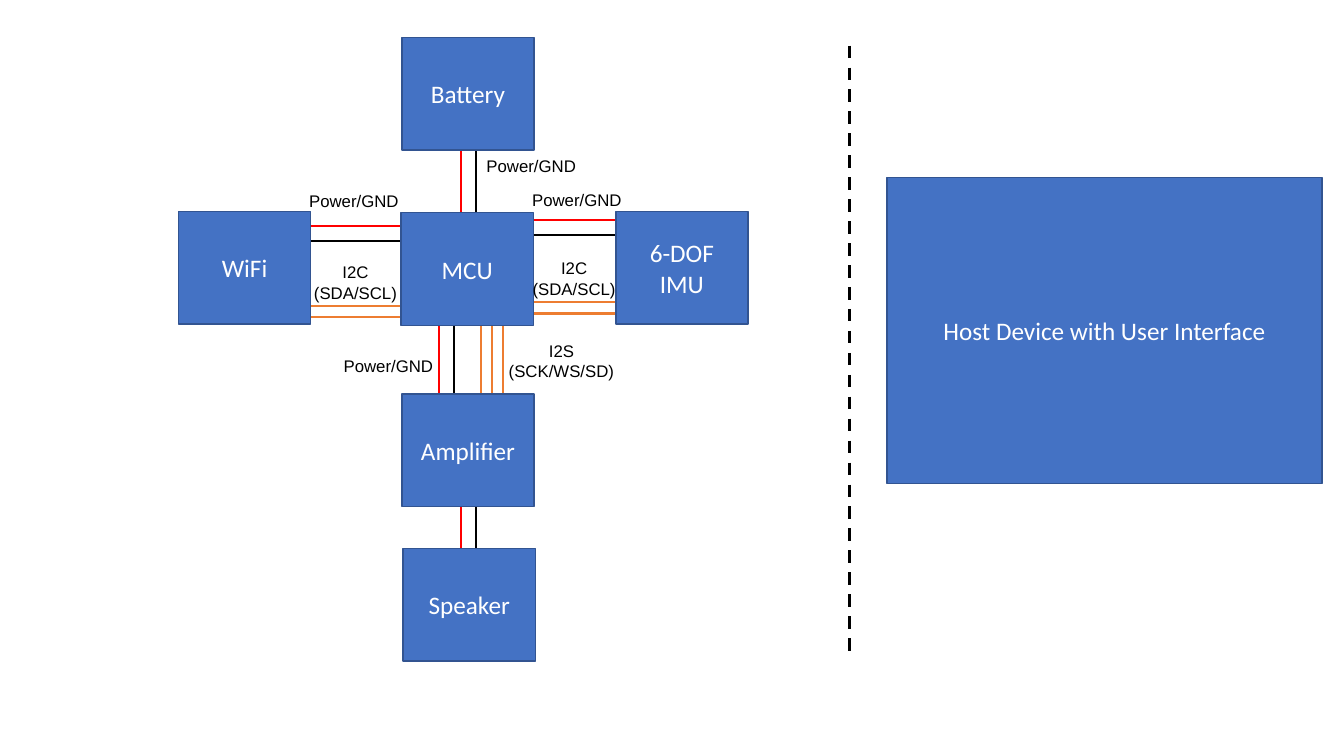
from copy import deepcopy

from lxml import etree
from pptx import Presentation
from pptx import util as u
from pptx.dml.color import RGBColor
from pptx.enum import dml, shapes, text
from pptx.oxml import ns

BLUE = RGBColor(0x44, 0x72, 0xC4)
DARK_BLUE = RGBColor(0x32, 0x54, 0x91)
ORANGE = RGBColor(0xED, 0x7D, 0x31)
RED = RGBColor(0xFF, 0x00, 0x00)
BLACK = RGBColor(0x00, 0x00, 0x00)
WHITE = RGBColor(0xFF, 0xFF, 0xFF)

BLOCK_SIZE = (3.33, 2.84)
POWER = ((RED, BLACK), 0.38)
I2C = ((ORANGE,) * 2, 0.28)
I2S = ((ORANGE,) * 3, 0.28)

BLOCKS = [
    ("Battery", 10.13, 0.94),
    ("WiFi", 4.5, 5.33),
    ("MCU", 10.11, 5.36),
    ("6-DOF\vIMU", 15.52, 5.33),
    ("Amplifier", 10.13, 9.93),
    ("Speaker", 10.16, 13.82),
]
HORIZONTAL_BUSES = [
    (POWER, 7.7, 10.2, 5.69),
    (I2C, 7.7, 10.2, 7.7),
    (POWER, 13.3, 15.7, 5.54),
    (I2C, 13.3, 15.7, 7.62),
]
VERTICAL_BUSES = [
    (POWER, 3.43, 5.5, 11.61),
    (POWER, 8.1, 10.3, 11.06),
    (I2S, 8.0, 10.3, 12.12),
    (POWER, 12.32, 14.48, 11.61),
]
LABELS = [
    ("Power/GND", 12.01, 3.81, 2.79, 0.77),
    ("Power/GND", 7.54, 4.67, 2.79, 0.77),
    ("Power/GND", 13.16, 4.65, 2.79, 0.77),
    ("Power/GND", 8.41, 8.84, 2.79, 0.77),
    ("I2C\v(SDA/SCL)", 7.65, 6.48, 2.62, 1.28),
    ("I2C\v(SDA/SCL)", 13.16, 6.38, 2.62, 1.28),
    ("I2S\n(SCK/WS/SD)", 12.55, 8.46, 3.2, 1.28),
]


def write_text(frame, content, font_name, size, color, alignment):
    frame.text = content
    for paragraph in frame.paragraphs:
        paragraph.alignment = alignment
        for run in paragraph.runs:
            run.font.name = font_name
            run.font.size = u.Pt(size)
            run.font.color.rgb = color
        for line_break in paragraph._p.findall(ns.qn("a:br")):
            line_break.append(deepcopy(paragraph.runs[0]._r.rPr))


def add_block(slide, content, left, top, width, height):
    block = slide.shapes.add_shape(
        shapes.MSO_SHAPE.RECTANGLE, *map(u.Cm, (left, top, width, height)))
    block.shadow.inherit = False
    block.fill.solid()
    block.fill.fore_color.rgb = BLUE
    block.line.color.rgb = DARK_BLUE
    block.line.width = u.Pt(1)
    block.text_frame.vertical_anchor = text.MSO_ANCHOR.MIDDLE
    write_text(block.text_frame, content, "Calibri", 18, WHITE, text.PP_ALIGN.CENTER)


def add_label(slide, content, left, top, width, height):
    label = slide.shapes.add_textbox(*map(u.Cm, (left, top, width, height)))
    label.text_frame.word_wrap = False
    label.text_frame.auto_size = text.MSO_AUTO_SIZE.SHAPE_TO_FIT_TEXT
    is_signal = "(" in content
    alignment = text.PP_ALIGN.CENTER if is_signal else text.PP_ALIGN.LEFT
    write_text(label.text_frame, content, "Arial", 12, BLACK, alignment)


def add_line(slide, start, end, color, width=1.5):
    line = slide.shapes.add_connector(
        shapes.MSO_CONNECTOR.STRAIGHT, *map(u.Cm, start + end))
    line.line.color.rgb = color
    line.line.width = u.Pt(width)
    etree.SubElement(line._element.spPr, ns.qn("a:effectLst"))
    return line


def add_bus(slide, bus, start, end, first, vertical):
    colors, gap = bus
    for index, color in enumerate(colors):
        offset = first + index * gap
        if vertical:
            add_line(slide, (offset, start), (offset, end), color)
        else:
            add_line(slide, (start, offset), (end, offset), color)


def main():
    presentation = Presentation()
    presentation.slide_width = u.Cm(33.87)
    presentation.slide_height = u.Cm(19.05)
    slide = presentation.slides.add_slide(presentation.slide_layouts[6])

    for bus in HORIZONTAL_BUSES:
        add_bus(slide, *bus, vertical=False)
    for bus in VERTICAL_BUSES:
        add_bus(slide, *bus, vertical=True)
    divider = add_line(slide, (21.41, 1.15), (21.41, 16.4), BLACK, 2.25)
    divider.line.dash_style = dml.MSO_LINE.DASH

    for block in BLOCKS:
        add_block(slide, *block, *BLOCK_SIZE)
    add_block(slide, "Host Device with User Interface", 22.35, 4.47, 10.97, 7.72)
    for label in LABELS:
        add_label(slide, *label)

    presentation.save("out.pptx")


main()
